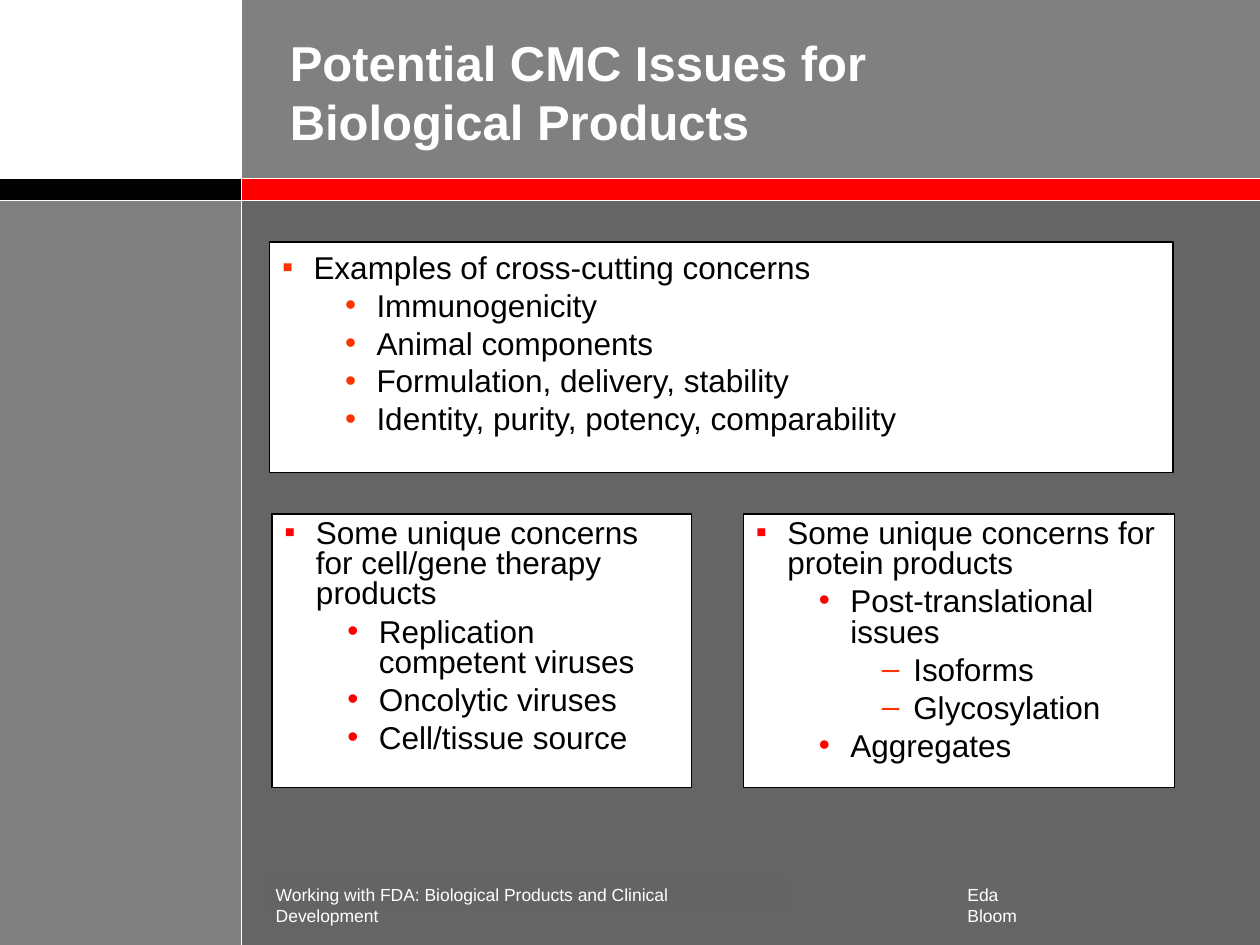
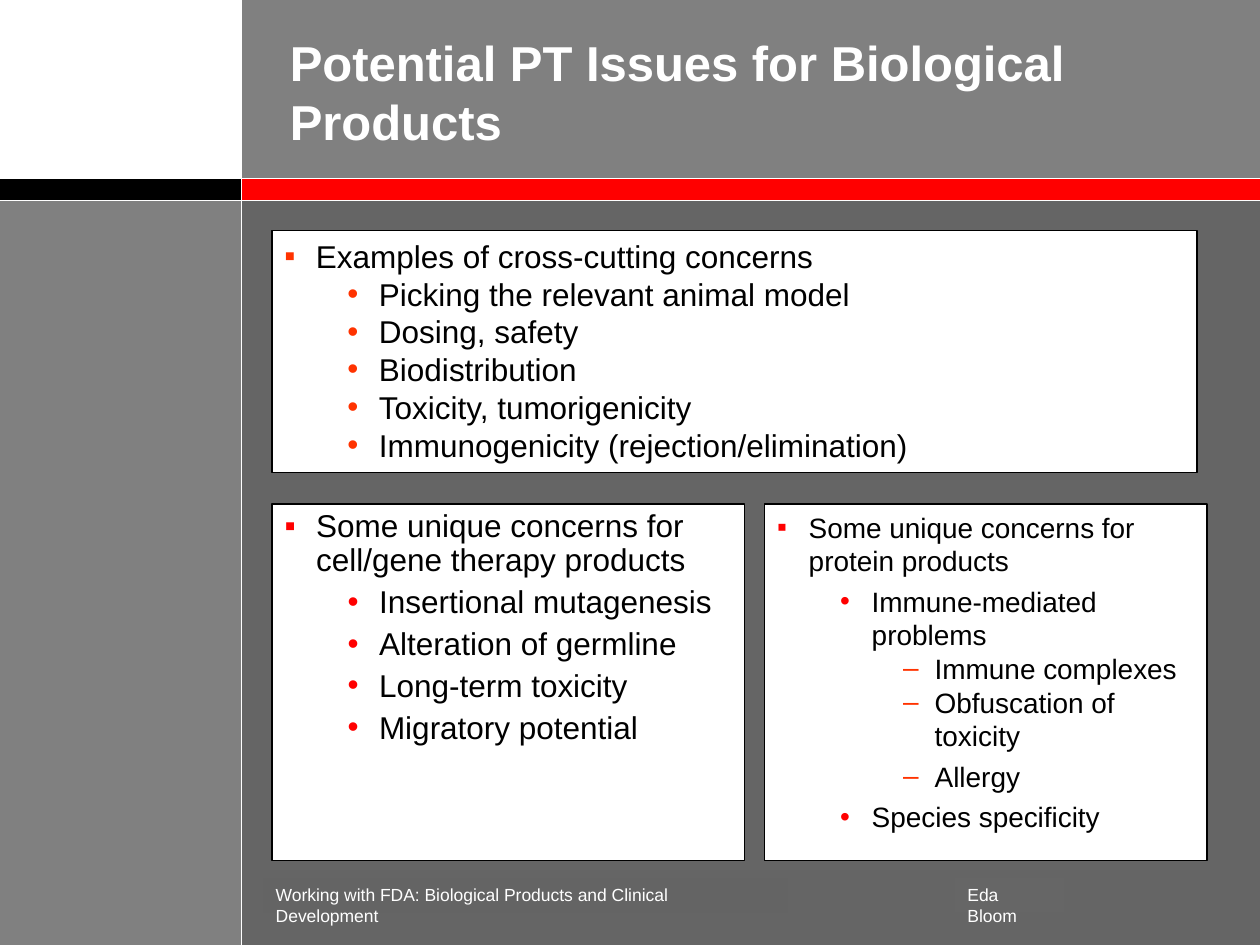
from lxml.etree import SubElement
from pptx import Presentation
from pptx.dml.color import RGBColor
from pptx.enum.shapes import MSO_CONNECTOR as Connector, MSO_SHAPE as Shape
from pptx.enum.text import MSO_ANCHOR as Anchor, MSO_AUTO_SIZE as AutoSize, PP_ALIGN as Align
from pptx.oxml.ns import qn
from pptx.util import Inches, Pt

COLORS = {
    "white": "FFFFFF", "black": "000000", "red": "FF0000", "orange": "FF3300",
    "grey": "808080", "dark": "656565", "footer": "646464", "author": "666666",
}
FONT = "Arial"
BULLETS = "▪•–"
SIDEBAR, BAND_TOP, BAND_BOTTOM = 1.92, 1.42, 1.58

PANELS = [
    (0, BAND_BOTTOM, SIDEBAR, 5.92, "grey", False),
    (SIDEBAR, BAND_BOTTOM, 8.08, 5.92, "dark", False),
    (SIDEBAR, 0, 8.08, BAND_BOTTOM, "grey", False),
    (SIDEBAR, BAND_TOP, 8.17, 0.17, "red", True),
    (-0.08, BAND_TOP, 2, 0.17, "black", True),
]
FOOTERS = [
    ((2.09, 6.97, 4.16, 0.27), "footer",
     "Working with FDA: Biological Products and Clinical Development"),
    ((7.58, 6.97, 0.87, 0.27), "author", "Eda Bloom"),
]

SLIDES = [
    ("Potential CMC Issues for\vBiological Products", [
        dict(box=(2.16, 4.08, 3.33, 2.17), spacing=0.8, before=4.5, items=[
            (0, "Some unique concerns for cell/gene therapy products"),
            (1, "Replication competent viruses"),
            (1, "Oncolytic viruses"),
            (1, "Cell/tissue source")]),
        dict(box=(5.9, 4.08, 3.42, 2.17), spacing=0.8, before=4.5, items=[
            (0, "Some unique concerns for protein products"),
            (1, "Post-translational issues"),
            (2, "Isoforms"),
            (2, "Glycosylation"),
            (1, "Aggregates")]),
        dict(box=(2.14, 1.92, 7.17, 1.83), bullet="orange", items=[
            (0, "Examples of cross-cutting concerns"),
            (1, "Immunogenicity"),
            (1, "Animal components"),
            (1, "Formulation, delivery, stability"),
            (1, "Identity, purity, potency, comparability")]),
    ]),
    ("Potential PT Issues for Biological Products", [
        dict(box=(2.16, 4, 3.75, 2.83), spacing=0.9, before=4.5, items=[
            (0, "Some unique concerns for cell/gene therapy products"),
            (1, "Insertional mutagenesis"),
            (1, "Alteration of germline"),
            (1, "Long-term toxicity"),
            (1, "Migratory potential")]),
        dict(box=(6.07, 4, 3.51, 2.83), before=4, size=16,
             tight=("Immune complexes", "Obfuscation of toxicity"), items=[
            (0, "Some unique concerns for protein products"),
            (1, "Immune-mediated problems"),
            (2, "Immune complexes"),
            (2, "Obfuscation of toxicity"),
            (2, "Allergy"),
            (1, "Species specificity")]),
        dict(box=(2.16, 1.83, 7.34, 1.92), bullet="orange", items=[
            (0, "Examples of cross-cutting concerns"),
            (1, "Picking the relevant animal model"),
            (1, "Dosing, safety"),
            (1, "Biodistribution"),
            (1, "Toxicity, tumorigenicity"),
            (1, "Immunogenicity (rejection/elimination)")]),
    ]),
]


def rgb(name):
    return RGBColor.from_string(COLORS[name])


def inches(box):
    return [Inches(length) for length in box]


def paint(shape, fill, line=None, width=0.75):
    shape.fill.solid()
    shape.fill.fore_color.rgb = rgb(fill)
    if line:
        shape.line.color.rgb = rgb(line)
        shape.line.width = Pt(width)
    else:
        shape.line.fill.background()


def style_runs(para, size, color, bold=False):
    for span in para.runs:
        span.font.name = FONT
        span.font.size = Pt(size)
        span.font.bold = bold
        span.font.color.rgb = rgb(color)


def set_bullet(para, level, color):
    para.level = level
    properties = para._p.get_or_add_pPr()
    properties.set("marL", str(Inches(0.25 + 0.5 * level)))
    properties.set("indent", str(Inches(-0.25)))
    bullet_color = SubElement(properties, qn("a:buClr"))
    SubElement(bullet_color, qn("a:srgbClr"), val=COLORS[color])
    SubElement(properties, qn("a:buFont"), typeface=FONT)
    SubElement(properties, qn("a:buChar"), char=BULLETS[level])


def add_background(page):
    for *box, fill, outlined in PANELS:
        panel = page.shapes.add_shape(Shape.RECTANGLE, *inches(box))
        panel.shadow.inherit = False
        paint(panel, fill, "white" if outlined else None, 0.5)
    divider = page.shapes.add_connector(
        Connector.STRAIGHT, *inches((SIDEBAR, -0.08, SIDEBAR, 7.5)))
    divider.line.color.rgb = rgb("white")
    divider.line.width = Pt(0.5)
    SubElement(divider.element.spPr, qn("a:effectLst"))


def add_footers(page):
    for box, fill, text in FOOTERS:
        footer = page.shapes.add_textbox(*inches(box))
        paint(footer, fill)
        frame = footer.text_frame
        frame.word_wrap = False
        frame.auto_size = AutoSize.SHAPE_TO_FIT_TEXT
        frame.text = text
        style_runs(frame.paragraphs[0], 10, "white")


def set_title(page, text):
    title = page.shapes.title
    title.left, title.top, title.width, title.height = inches((2.2, 0.1, 7.5, 1.25))
    paint(title, "grey")
    frame = title.text_frame
    frame.vertical_anchor = Anchor.MIDDLE
    frame.auto_size = AutoSize.NONE
    para = frame.paragraphs[0]
    para.text = text
    para.alignment = Align.LEFT
    style_runs(para, 28, "white", bold=True)
    title.element.getparent().append(title.element)


def add_concerns(page, box, items, bullet="red", spacing=1.0, before=0, size=18, tight=()):
    card = page.shapes.add_textbox(*inches(box))
    paint(card, "white", "black")
    frame = card.text_frame
    frame.word_wrap = True
    frame.text = "\n".join(text for _, text in items)
    for index, (para, (level, text)) in enumerate(zip(frame.paragraphs, items)):
        set_bullet(para, level, "orange" if level == 2 else bullet)
        para.line_spacing = spacing
        para.space_before = Pt(before if index and text not in tight else 0)
        style_runs(para, size, "black")


def add_issue_slide(deck, title, cards):
    page = deck.slides.add_slide(deck.slide_layouts[5])
    add_background(page)
    add_footers(page)
    set_title(page, title)
    for card in cards:
        add_concerns(page, **card)


def main():
    deck = Presentation()
    deck.slide_width, deck.slide_height = Inches(10), Inches(7.5)
    for title, cards in SLIDES:
        add_issue_slide(deck, title, cards)
    deck.save("out.pptx")


if __name__ == "__main__":
    main()
